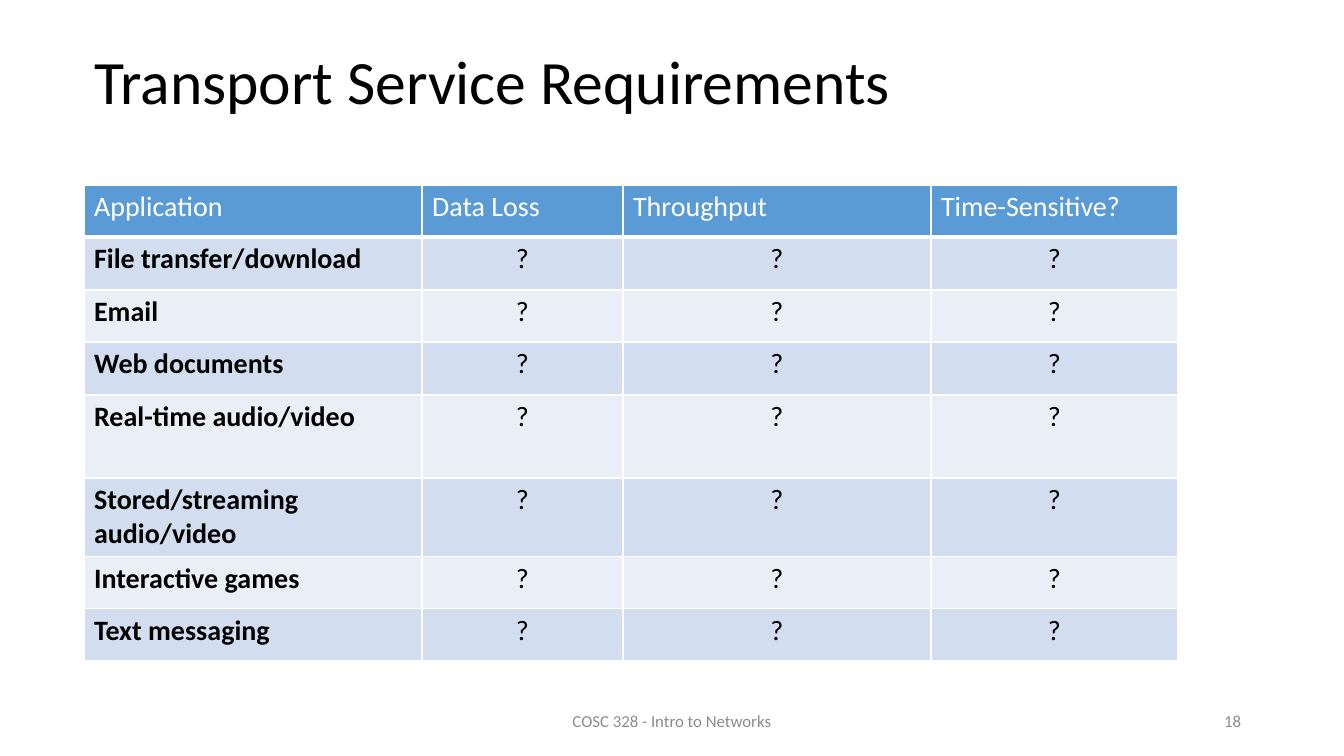
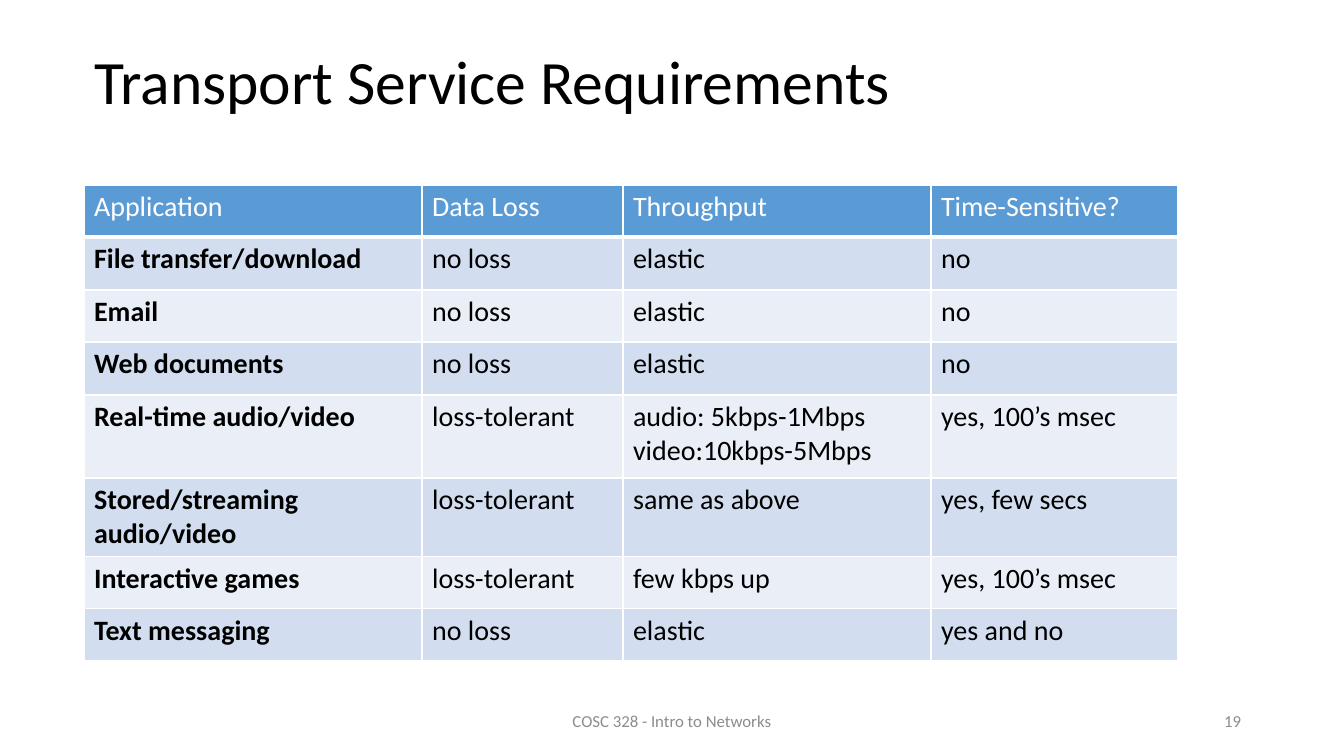
from itertools import pairwise

from lxml.etree import SubElement
from pptx import Presentation
from pptx.dml.color import RGBColor
from pptx.enum.text import MSO_ANCHOR as Anchor, PP_ALIGN as Align
from pptx.oxml.ns import qn
from pptx.util import Pt

FONT = "Calibri"
BLACK = RGBColor(0x00, 0x00, 0x00)
WHITE = RGBColor(0xFF, 0xFF, 0xFF)
GRAY = RGBColor(0x8C, 0x8C, 0x8C)
BLUE = RGBColor(0x5B, 0x9B, 0xD5)
BANDS = [RGBColor(0xD2, 0xDE, 0xEF), RGBColor(0xEA, 0xEF, 0xF7)]

TITLE = "Transport Service Requirements"
COURSE = "COSC 328 - Intro to Networks"
FIRST = 18
HEAD = ("Application", "Data Loss", "Throughput", "Time-Sensitive?")
NEEDS = [
    ("File transfer/download", "no loss", "elastic", "no"),
    ("Email", "no loss", "elastic", "no"),
    ("Web documents", "no loss", "elastic", "no"),
    ("Real-time audio/video", "loss-tolerant",
     "audio: 5kbps-1Mbps video:10kbps-5Mbps", "yes, 100’s msec"),
    ("Stored/streaming audio/video", "loss-tolerant", "same as above",
     "yes, few secs"),
    ("Interactive games", "loss-tolerant", "few kbps up", "yes, 100’s msec"),
    ("Text messaging", "no loss", "elastic", "yes and no"),
]
QUIZ = [(need[0], "?", "?", "?") for need in NEEDS]
SLIDES = [(QUIZ, Align.CENTER), (NEEDS, Align.LEFT)]

COLS = [84, 422, 623, 931, 1178]
ROWS = [185, 237, 290, 342, 395, 478, 557, 609, 661]
SCALE = 914400 / 100.8


def px(*nums):
    return [round(num * SCALE) for num in nums]


def write(frame, text, size=20, color=BLACK, bold=False, align=Align.LEFT,
          space=1.0):
    frame.word_wrap = True
    para = frame.paragraphs[0]
    para.alignment = align
    para.line_spacing = space
    run = para.add_run()
    run.text = text
    font = run.font
    font.name, font.size, font.bold = FONT, Pt(size), bold
    font.color.rgb = color


def edge(cell, row):
    props = cell._tc.get_or_add_tcPr()
    wide = {"lnB": 3} if row == 0 else {"lnT": 3} if row == 1 else {}
    for side in ("lnL", "lnR", "lnT", "lnB"):
        line = SubElement(props, qn(f"a:{side}"), w=str(Pt(wide.get(side, 1))))
        fill = SubElement(line, qn("a:solidFill"))
        SubElement(fill, qn("a:srgbClr"), val=str(WHITE))


def grid(slide, body, align):
    data = [HEAD, *body]
    box = px(COLS[0], ROWS[0], COLS[-1] - COLS[0], ROWS[-1] - ROWS[0])
    table = slide.shapes.add_table(len(data), len(HEAD), *box).table
    for col, (left, right) in zip(table.columns, pairwise(COLS)):
        col.width = px(right - left)[0]
    for row, (top, low) in zip(table.rows, pairwise(ROWS)):
        row.height = px(low - top)[0]
    for r, line in enumerate(data):
        for c, text in enumerate(line):
            cell = table.cell(r, c)
            edge(cell, r)
            cell.fill.solid()
            cell.fill.fore_color.rgb = BANDS[(r - 1) % 2] if r else BLUE
            write(cell.text_frame, text, color=BLACK if r else WHITE,
                  bold=r > 0 and c == 0,
                  align=align if r and c else Align.LEFT)


def title(slide):
    shape = slide.shapes.title
    shape.left, shape.top, shape.width, shape.height = px(84, 24, 1042, 121)
    shape.text_frame.vertical_anchor = Anchor.MIDDLE
    write(shape.text_frame, TITLE, size=44, space=0.9)


def footer(slide, text, left, width, align):
    box = slide.shapes.add_textbox(*px(left, 701, width, 40))
    box.text_frame.vertical_anchor = Anchor.MIDDLE
    write(box.text_frame, text, size=12, color=GRAY, align=align)


def main():
    deck = Presentation()
    deck.slide_width, deck.slide_height = px(1344, 756)
    for page, (body, align) in enumerate(SLIDES, FIRST):
        slide = deck.slides.add_slide(deck.slide_layouts[5])
        title(slide)
        grid(slide, body, align)
        footer(slide, COURSE, 445, 454, Align.CENTER)
        footer(slide, str(page), 949, 302, Align.RIGHT)
    deck.save("out.pptx")


if __name__ == "__main__":
    main()
